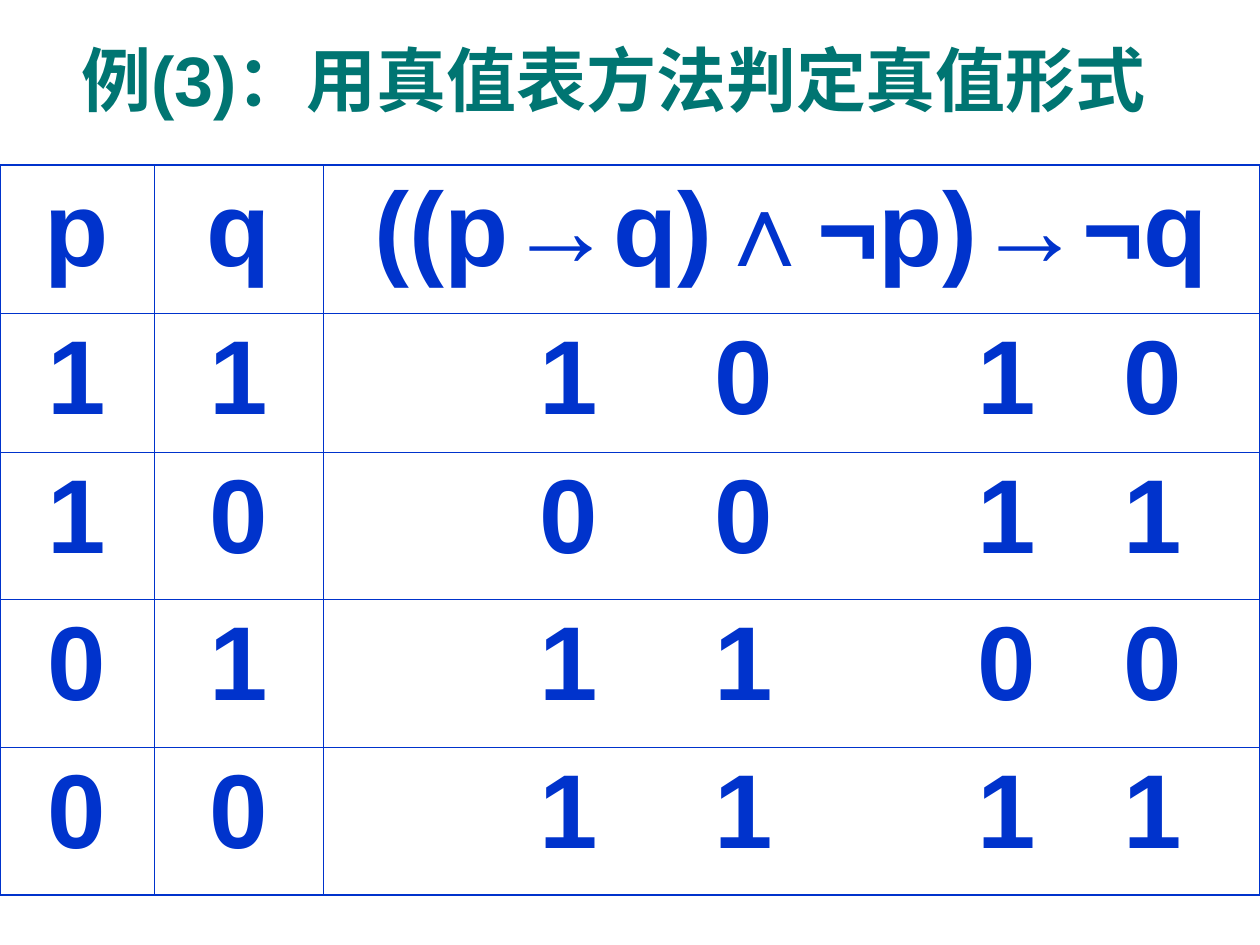
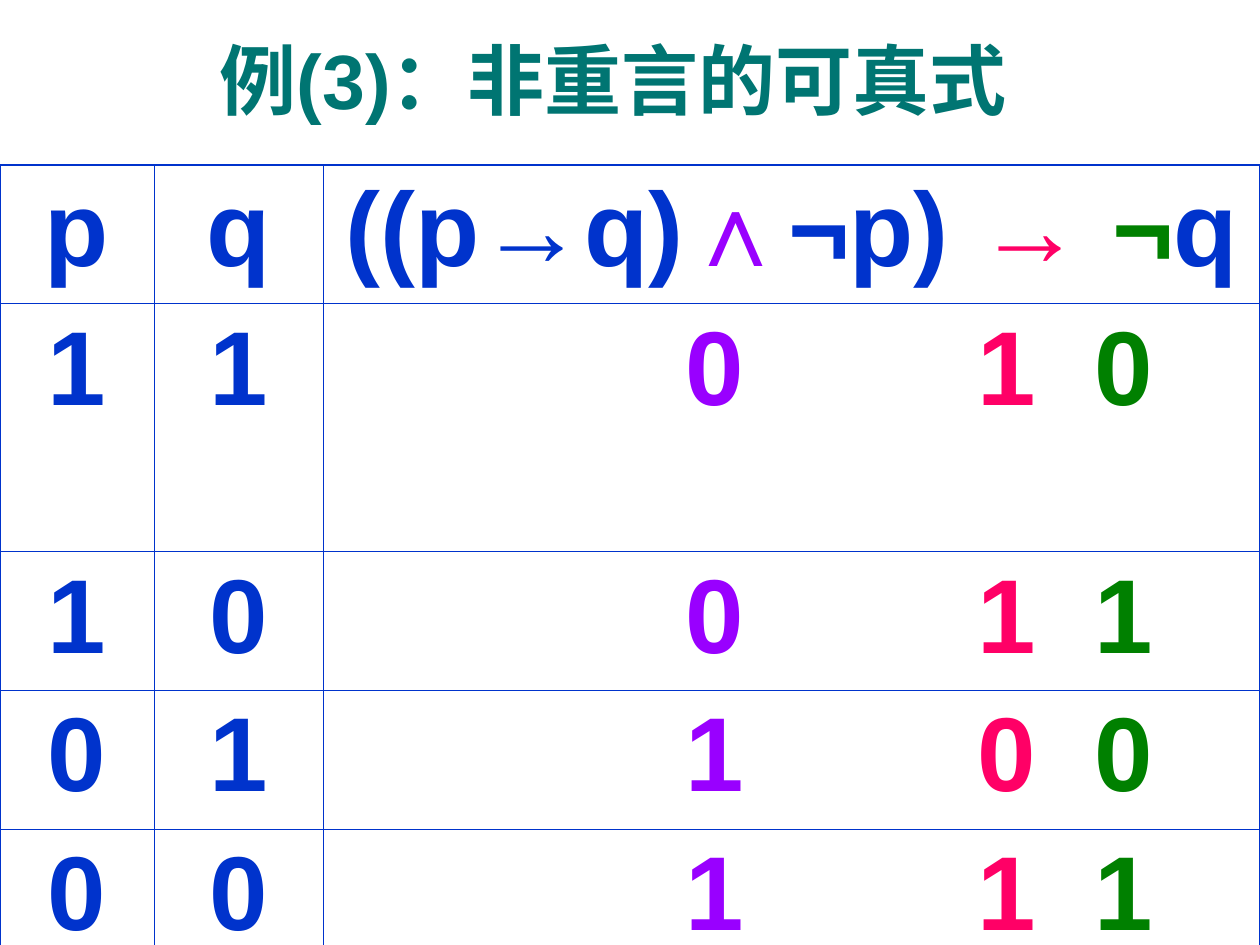
import pptx
import pptx.dml.color
import pptx.enum.text
import pptx.oxml.ns
import pptx.util
from lxml import etree

EMU_PER_PX = 914400 / 126
FONT = "Arial"
TEAL, BLUE, PURPLE, PINK, GREEN = "007572", "0033CC", "9900FF", "FF0066", "008000"
TABLE_SIZE = 60
THICK, THIN = 1.08, 0.45
COLUMN_WIDTHS = [154, 169, 937]
CENTER = pptx.enum.text.PP_ALIGN.CENTER
LEFT = pptx.enum.text.PP_ALIGN.LEFT


def px(length):
    return pptx.util.Emu(round(length * EMU_PER_PX))


def color(hex_string):
    return pptx.dml.color.RGBColor.from_string(hex_string)


def add_child(parent, tag, **attributes):
    child = etree.SubElement(parent, pptx.oxml.ns.qn(tag))
    for name, value in attributes.items():
        child.set(name, str(value))
    return child


def add_span(para, text, size, hex_string):
    span = para.add_run()
    span.text = text
    span.font.name = FONT
    span.font.size = pptx.util.Pt(size)
    span.font.bold = True
    span.font.color.rgb = color(hex_string)


def add_title(page, text, size):
    box = page.shapes.add_textbox(px(25), px(0), px(1177), px(157))
    box.text_frame.word_wrap = True
    box.text_frame.vertical_anchor = pptx.enum.text.MSO_ANCHOR.MIDDLE
    para = box.text_frame.paragraphs[0]
    para.alignment = CENTER
    add_span(para, text, size, TEAL)


def set_borders(cell, widths):
    """Widths in points, in the order left, right, top, bottom."""
    properties = cell._tc.get_or_add_tcPr()
    for side, width in zip("LRTB", widths):
        line = add_child(properties, f"a:ln{side}", w=pptx.util.Pt(width))
        add_child(add_child(line, "a:solidFill"), "a:srgbClr", val=BLUE)


def fill_cell(cell, spans, alignment=CENTER, tab_stops=()):
    para = cell.text_frame.paragraphs[0]
    para.alignment = alignment
    if tab_stops:
        tab_list = add_child(para._p.get_or_add_pPr(), "a:tabLst")
        for stop in tab_stops:
            add_child(tab_list, "a:tab", pos=px(stop), algn="l")
    for text, hex_string in spans:
        add_span(para, text, TABLE_SIZE, hex_string)


def add_truth_table(page, formula, rows, row_heights, tab_stops, value_colors):
    """Each row is (p, q, values); every value sits on its own tab stop."""
    frame = page.shapes.add_table(len(row_heights), len(COLUMN_WIDTHS), px(0), px(165),
                                  px(sum(COLUMN_WIDTHS)), px(sum(row_heights)))
    table = frame.table
    table.first_row = table.horz_banding = False
    for column, width in zip(table.columns, COLUMN_WIDTHS):
        column.width = px(width)
    for row, height in zip(table.rows, row_heights):
        row.height = px(height)

    # Thick outer frame, thin inner grid
    last_row, last_column = len(row_heights) - 1, len(COLUMN_WIDTHS) - 1
    for i, row in enumerate(table.rows):
        for j, cell in enumerate(row.cells):
            outer = (j == 0, j == last_column, i == 0, i == last_row)
            set_borders(cell, [THICK if edge else THIN for edge in outer])
            cell.fill.background()

    # Header, then one row per valuation
    for j, spans in enumerate([[("p", BLUE)], [("q", BLUE)], formula]):
        fill_cell(table.cell(0, j), spans)
    for i, (p, q, values) in enumerate(rows, start=1):
        fill_cell(table.cell(i, 0), [(p, BLUE)])
        fill_cell(table.cell(i, 1), [(q, BLUE)])
        spans = [("\t" + value, shade) for value, shade in zip(values, value_colors)]
        fill_cell(table.cell(i, 2), spans, LEFT, tab_stops)


def main():
    deck = pptx.Presentation()
    deck.slide_width, deck.slide_height = px(1260), px(945)
    blank = deck.slide_layouts[6]

    # Slide 1: the full truth table
    page = deck.slides.add_slide(blank)
    add_title(page, "例(3)：用真值表方法判定真值形式", 40)
    add_truth_table(
        page,
        formula=[("((p→q)∧¬p)→¬q", BLUE)],
        rows=[("1", "1", "1010"), ("1", "0", "0011"), ("0", "1", "1100"), ("0", "0", "1111")],
        row_heights=[148, 139, 147, 148, 148],
        tab_stops=[204, 379, 642, 788],
        value_colors=[BLUE] * 4)

    # Slide 2: the verdict, with each connective in its own colour
    page = deck.slides.add_slide(blank)
    add_title(page, "例(3)：非重言的可真式", 44)
    add_truth_table(
        page,
        formula=[("((p→q)", BLUE), ("∧", PURPLE), ("¬p) ", BLUE),
                 ("→ ", PINK), ("¬", GREEN), ("q", BLUE)],
        rows=[("1", "1", "010"), ("1", "0", "011"), ("0", "1", "100"), ("0", "0", "111")],
        row_heights=[130, 248, 131, 130, 130],
        tab_stops=[350, 642, 759],
        value_colors=[PURPLE, PINK, GREEN])

    deck.save("out.pptx")


if __name__ == "__main__":
    main()
